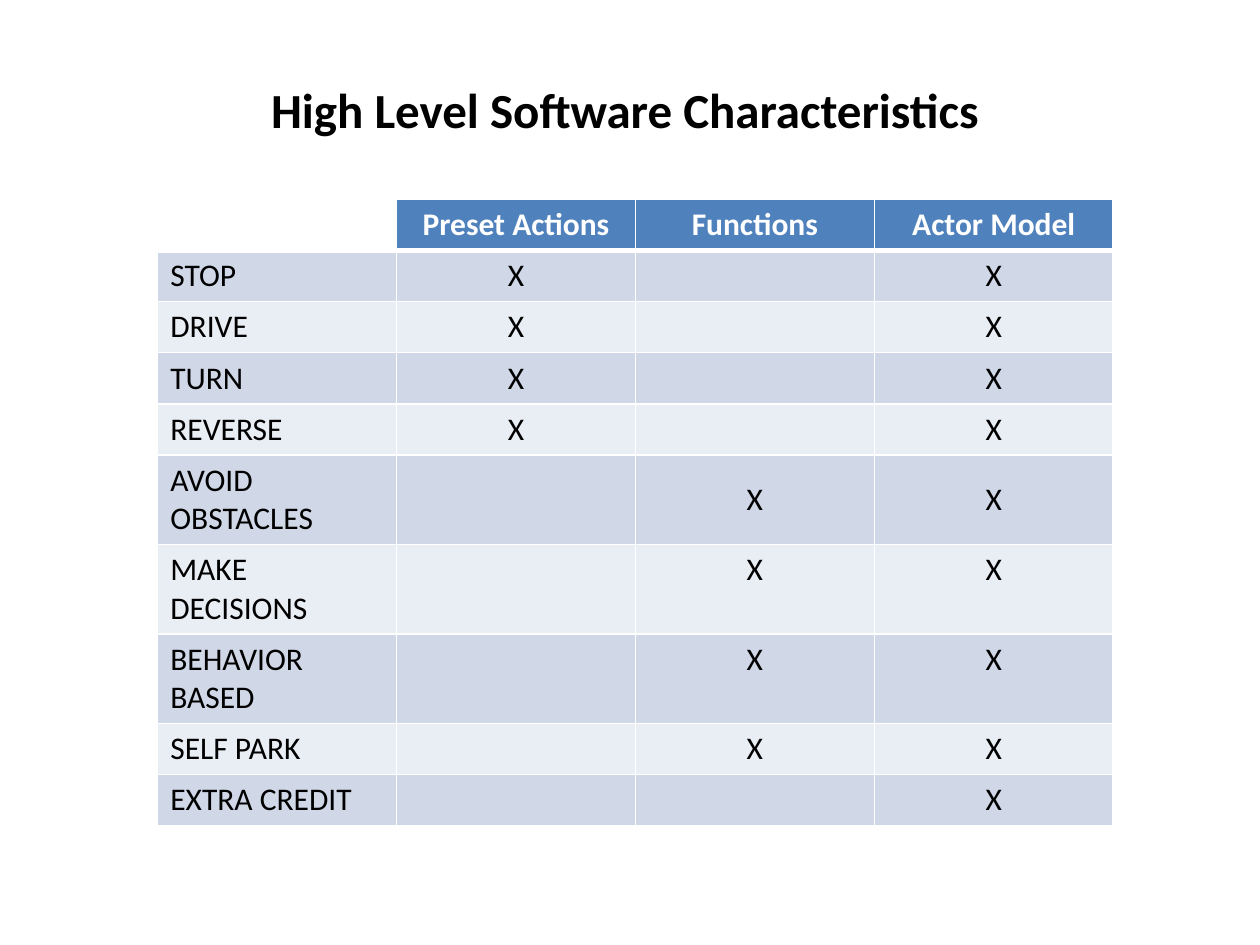
import pptx
import pptx.dml.color
import pptx.enum.text
import pptx.oxml
import pptx.oxml.ns
import pptx.util
from pptx.util import Cm

COLORS = {
    "black": "000000",
    "white": "FFFFFF",
    "head": "4F81BD",
    "odd": "D0D8E8",
    "even": "E9EDF4",
}
ALIGN = pptx.enum.text.PP_ALIGN
ANCHOR = pptx.enum.text.MSO_ANCHOR

HEADS = ["", "Preset Actions", "Functions", "Actor Model"]
# Each row: feature, the columns it marks, whether its marks are centred upright
ROWS = [
    ("STOP", (1, 3), True),
    ("DRIVE", (1, 3), True),
    ("TURN", (1, 3), True),
    ("REVERSE", (1, 3), True),
    ("AVOID OBSTACLES", (2, 3), True),
    ("MAKE DECISIONS", (2, 3), False),
    ("BEHAVIOR BASED", (2, 3), False),
    ("SELF PARK", (2, 3), False),
    ("EXTRA CREDIT", (3,), False),
]


def color(name):
    return pptx.dml.color.RGBColor.from_string(COLORS[name])


def write(frame, text, font="Calibri", size=18, bold=False, ink="black", align=ALIGN.LEFT):
    par = frame.paragraphs[0]
    par.alignment = align
    run = par.add_run()
    run.text = text
    run.font.name = font
    run.font.size = pptx.util.Pt(size)
    run.font.bold = bold
    run.font.color.rgb = color(ink)


def edge(cell, side, width):
    """Add a white border; call before the cell is filled."""
    line = pptx.oxml.parse_xml(
        f'<a:ln{side} {pptx.oxml.ns.nsdecls("a")} w="{pptx.util.Pt(width)}">'
        f'<a:solidFill><a:srgbClr val="{COLORS["white"]}"/></a:solidFill></a:ln{side}>'
    )
    cell._tc.get_or_add_tcPr().append(line)


class Deck:
    def __init__(self, font="Calibri"):
        self.font = font
        self.show = pptx.Presentation()
        self.show.slide_width = Cm(25.4)
        self.show.slide_height = Cm(19.05)
        self.slide = self.show.slides.add_slide(self.show.slide_layouts[5])

    def title(self, text, left, top, width, height):
        box = self.slide.shapes.title
        box.left, box.top, box.width, box.height = left, top, width, height
        write(box.text_frame, text, self.font, 28, bold=True, align=ALIGN.CENTER)

    def cell(self, cell, text, fill, top=1, base=1, anchor=ANCHOR.TOP, **style):
        for side, width in zip("LRTB", (1, 1, top, base)):
            edge(cell, side, width)
        cell.fill.solid()
        cell.fill.fore_color.rgb = color(fill)
        cell.vertical_anchor = anchor
        if text:
            write(cell.text_frame, text, self.font, **style)

    def table(self, left, top, width, height):
        grid = self.slide.shapes.add_table(
            len(ROWS) + 1, len(HEADS), left, top, width, height
        ).table
        for col, head in enumerate(HEADS):
            self.cell(grid.cell(0, col), head, "head" if head else "white",
                      base=3, bold=True, ink="white", align=ALIGN.CENTER)
        for row, (name, marks, middle) in enumerate(ROWS, 1):
            fill = "odd" if row % 2 else "even"
            rule = 3 if row == 1 else 1
            self.cell(grid.cell(row, 0), name, fill, top=rule)
            for col in range(1, len(HEADS)):
                self.cell(grid.cell(row, col), "X" if col in marks else "", fill, top=rule,
                          anchor=ANCHOR.MIDDLE if middle else ANCHOR.TOP,
                          align=ALIGN.CENTER)


def main():
    deck = Deck()
    deck.title("High Level Software Characteristics", Cm(1.48), Cm(1.48), Cm(22.23), Cm(1.45))
    deck.table(Cm(3.18), Cm(4.02), Cm(19.26), Cm(10.3))
    deck.show.save("out.pptx")


if __name__ == "__main__":
    main()
